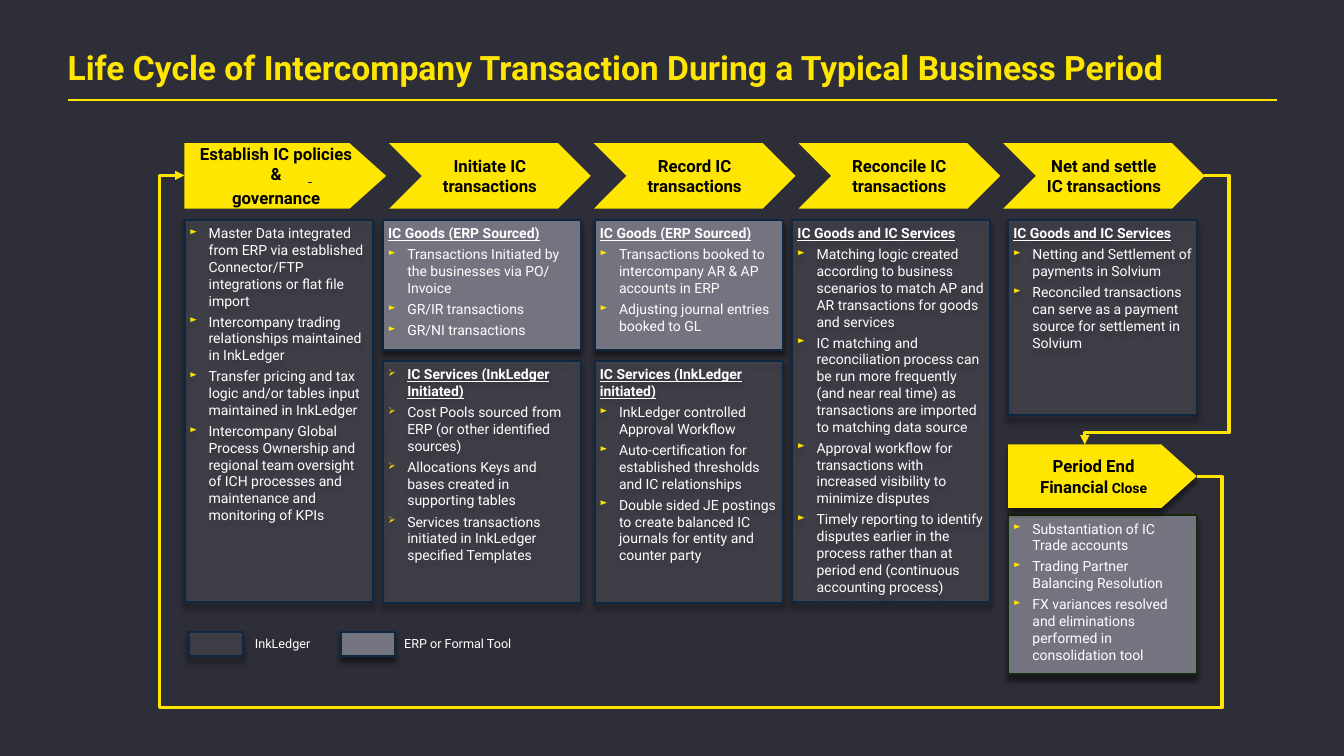
from dataclasses import dataclass
from lxml.etree import SubElement
from pptx import Presentation
from pptx.dml.color import RGBColor as RGB
from pptx.enum.shapes import MSO_CONNECTOR as LINK, MSO_SHAPE as SHAPE
from pptx.enum.text import MSO_ANCHOR as ANCHOR, PP_ALIGN as ALIGN
from pptx.oxml.ns import qn
from pptx.util import Inches, Pt


@dataclass(frozen=True)
class Theme:
    font: str = "Roboto"
    night: RGB = RGB.from_string("2E2E38")
    yellow: RGB = RGB.from_string("FFE600")
    grey: RGB = RGB.from_string("747480")
    navy: RGB = RGB.from_string("0E2841")
    green: RGB = RGB.from_string("142A0C")
    white: RGB = RGB.from_string("FFFFFF")
    black: RGB = RGB.from_string("000000")
    title: int = 24
    stage: int = 12
    body: int = 10
    legend: int = 9


theme = Theme()


def set_font(paragraph, size, color, bold=False, underline=False):
    font = paragraph.font
    font.name, font.size, font.color.rgb = theme.font, Pt(size), color
    font.bold, font.underline = bold, underline


def add_panel(kind, left, top, width, height, fill, edge=None, opacity=100, raised=True):
    panel = slide.shapes.add_shape(kind, *map(Inches, (left, top, width, height)))
    panel.fill.solid()
    panel.fill.fore_color.rgb = fill
    properties = panel._element.spPr
    if opacity < 100:
        tint = properties.find(qn("a:solidFill"))[0]
        SubElement(tint, qn("a:alpha"), val=str(opacity * 1000))
    if edge:
        panel.line.color.rgb = edge
        panel.line.width = Pt(1.5)
    else:
        panel.line.fill.background()
    panel.shadow.inherit = False
    if raised:
        shadow = SubElement(properties.find(qn("a:effectLst")), qn("a:outerShdw"),
                            blurRad=str(Pt(4)), dist=str(Pt(4)), dir="5400000",
                            algn="t", rotWithShape="0")
        shade = SubElement(shadow, qn("a:srgbClr"), val=str(theme.black))
        SubElement(shade, qn("a:alpha"), val="49000")
        frame = panel.text_frame
        frame.margin_left = frame.margin_right = Inches(0.05)
        frame.margin_top = frame.margin_bottom = Inches(0.05)
    return panel


deck = Presentation()
deck.slide_width, deck.slide_height = Inches(13.33), Inches(7.5)
slide = deck.slides.add_slide(deck.slide_layouts[5])
slide.background.fill.solid()
slide.background.fill.fore_color.rgb = theme.night

heading = slide.shapes.title
heading.left, heading.top, heading.width, heading.height = map(Inches, (0.67, 0.47, 12, 0.5))
heading_frame = heading.text_frame
heading_frame.text = "Life Cycle of Intercompany Transaction During a Typical Business Period"
heading_frame.vertical_anchor = ANCHOR.TOP
heading_frame.margin_left = heading_frame.margin_right = 0
heading_frame.margin_top = heading_frame.margin_bottom = 0
heading_frame.paragraphs[0].alignment = ALIGN.LEFT
set_font(heading_frame.paragraphs[0], theme.title, theme.yellow, bold=True)

stage_left, stage_pitch, stage_top, stage_width, stage_height = 1.83, 2.03, 1.42, 2, 0.65
stages = ["Establish IC policies &\ngovernance", "Initiate IC transactions",
          "Record IC transactions", "Reconcile IC transactions",
          "Net and settle IC transactions"]
for column, label in enumerate(stages):
    stage = add_panel(SHAPE.CHEVRON if column else SHAPE.PENTAGON,
                      stage_left + column * stage_pitch, stage_top,
                      stage_width, stage_height, theme.yellow, raised=False)
    if column == 0:
        stage.adjustments[0] = 0.558
    stage.text_frame.text = label
    stage.text_frame.vertical_anchor = ANCHOR.MIDDLE
    for paragraph in stage.text_frame.paragraphs:
        paragraph.alignment = ALIGN.CENTER
        paragraph.space_after = Pt(3)
        set_font(paragraph, theme.stage, theme.black, bold=True)

columns = [(1.83, 1.87), (3.8, 1.96), (5.9, 1.87), (7.86, 1.96), (10, 1.87)]
full, goods, services = (2.18, 3.79), (2.18, 1.29), (3.58, 2.4)
netting, closing = (2.18, 1.94), (5.11, 1.58)
arrow_mark, chevron_mark = "►", "➢"
cards = [
    (0, full, False, arrow_mark, None, [
        "Master Data integrated from ERP via established Connector/FTP integrations or flat file import",
        "Intercompany trading relationships maintained in InkLedger",
        "Transfer pricing and tax logic and/or tables input maintained in InkLedger",
        "Intercompany Global Process Ownership and regional team oversight of ICH processes "
        "and maintenance and monitoring of KPIs"]),
    (1, goods, True, arrow_mark, "IC Goods (ERP Sourced)", [
        "Transactions Initiated by the businesses via PO/ Invoice",
        "GR/IR transactions", "GR/NI transactions"]),
    (1, services, False, chevron_mark, "IC Services (InkLedger Initiated)", [
        "Cost Pools sourced from ERP (or other identified sources)",
        "Allocations Keys and bases created in supporting tables",
        "Services transactions initiated in InkLedger specified Templates"]),
    (2, goods, True, arrow_mark, "IC Goods (ERP Sourced)", [
        "Transactions booked to intercompany AR & AP accounts in ERP",
        "Adjusting journal entries booked to GL"]),
    (2, services, False, arrow_mark, "IC Services (InkLedger initiated)", [
        "InkLedger controlled Approval Workflow",
        "Auto-certification for established thresholds and IC relationships",
        "Double sided JE postings to create balanced IC journals for entity and counter party"]),
    (3, full, False, arrow_mark, "IC Goods and IC Services", [
        "Matching logic created according to business scenarios to match AP and AR "
        "transactions for goods and services",
        "IC matching and reconciliation process can be run more frequently (and near real time) "
        "as transactions are imported to matching data source",
        "Approval workflow for transactions with increased visibility to minimize disputes",
        "Timely reporting to identify disputes earlier in the process rather than at period end "
        "(continuous accounting process)"]),
    (4, netting, False, arrow_mark, "IC Goods and IC Services", [
        "Netting and Settlement of payments in Solvium",
        "Reconciled transactions can serve as a payment source for settlement in Solvium"]),
    (4, closing, True, arrow_mark, None, [
        "Substantiation of IC Trade accounts", "Trading Partner Balancing Resolution",
        "FX variances resolved and eliminations performed in consolidation tool"]),
]
indent = Inches(0.19)
for column, (top, height), from_erp, mark, topic, points in cards:
    left, width = columns[column]
    card = add_panel(SHAPE.RECTANGLE, left, top, width, height, theme.grey,
                     theme.green if (top, height) == closing else theme.navy,
                     100 if from_erp else 30)
    lines = [topic] * bool(topic) + points
    card.text_frame.text = "\n".join(lines)
    card.text_frame.vertical_anchor = ANCHOR.TOP
    for line, paragraph in zip(lines, card.text_frame.paragraphs):
        is_topic = line == topic
        paragraph.alignment = ALIGN.LEFT
        paragraph.space_after = Pt(3)
        settings = paragraph._p.get_or_add_pPr()
        if not is_topic or mark == chevron_mark:
            settings.set("marL", str(indent))
            settings.set("indent", str(-indent))
            SubElement(SubElement(settings, qn("a:buClr")), qn("a:srgbClr"), val=str(theme.yellow))
            SubElement(settings, qn("a:buSzPct"), val="70000")
            SubElement(settings, qn("a:buChar"), char=mark)
        SubElement(SubElement(settings, qn("a:tabLst")), qn("a:tab"), pos=str(indent), algn="l")
        set_font(paragraph, theme.body, theme.white, is_topic, is_topic)

period_end = add_panel(SHAPE.PENTAGON, columns[4][0], 4.41, columns[4][1], 0.63, theme.yellow)
period_end.adjustments[0] = 0.558
period_end.text_frame.text = "Period End\nFinancial"
period_end.text_frame.vertical_anchor = ANCHOR.MIDDLE
for paragraph in period_end.text_frame.paragraphs:
    paragraph.alignment = ALIGN.CENTER
    set_font(paragraph, theme.stage, theme.black, bold=True)
close_word = period_end.text_frame.paragraphs[1].add_run()
close_word.text = " Close"
close_word.font.size = Pt(theme.body)

for swatch_left, label_left, label_width, opacity, label in [
        (1.87, 2.43, 0.79, 30, "InkLedger"), (3.38, 3.91, 1.34, 100, "ERP or Formal Tool")]:
    add_panel(SHAPE.RECTANGLE, swatch_left, 6.27, 0.54, 0.24, theme.grey, theme.navy, opacity)
    legend = slide.shapes.add_textbox(*map(Inches, (label_left, 6.26, label_width, 0.25)))
    legend.text_frame.word_wrap = True
    legend.text_frame.text = label
    set_font(legend.text_frame.paragraphs[0], theme.legend, theme.white)

links = [
    ((0.67, 0.99), (12.67, 0.99), theme.yellow, 1.5, []),
    ((3.05, 1.81), (3.09, 1.81), theme.navy, 0.75, []),
    ((11.94, 1.74), (10.76, 4.41), theme.yellow, 2.25, [-0.212, 0.957]),
    ((11.87, 4.73), (1.83, 1.74), theme.yellow, 2.25, [-0.025, -0.766, 1.025]),
]
for start, end, color, weight, bends in links:
    link = slide.shapes.add_connector(LINK.ELBOW if bends else LINK.STRAIGHT,
                                      *map(Inches, start + end))
    link.line.color.rgb = color
    link.line.width = Pt(weight)
    properties = link._element.spPr
    if bends:
        geometry = properties.find(qn("a:prstGeom"))
        geometry.set("prst", f"bentConnector{len(bends) + 2}")
        guides = geometry.find(qn("a:avLst"))
        for number, bend in enumerate(bends, 1):
            SubElement(guides, qn("a:gd"), name=f"adj{number}", fmla=f"val {round(bend * 100000)}")
        SubElement(properties.find(qn("a:ln")), qn("a:tailEnd"), type="triangle")
    SubElement(properties, qn("a:effectLst"))

deck.save("out.pptx")
